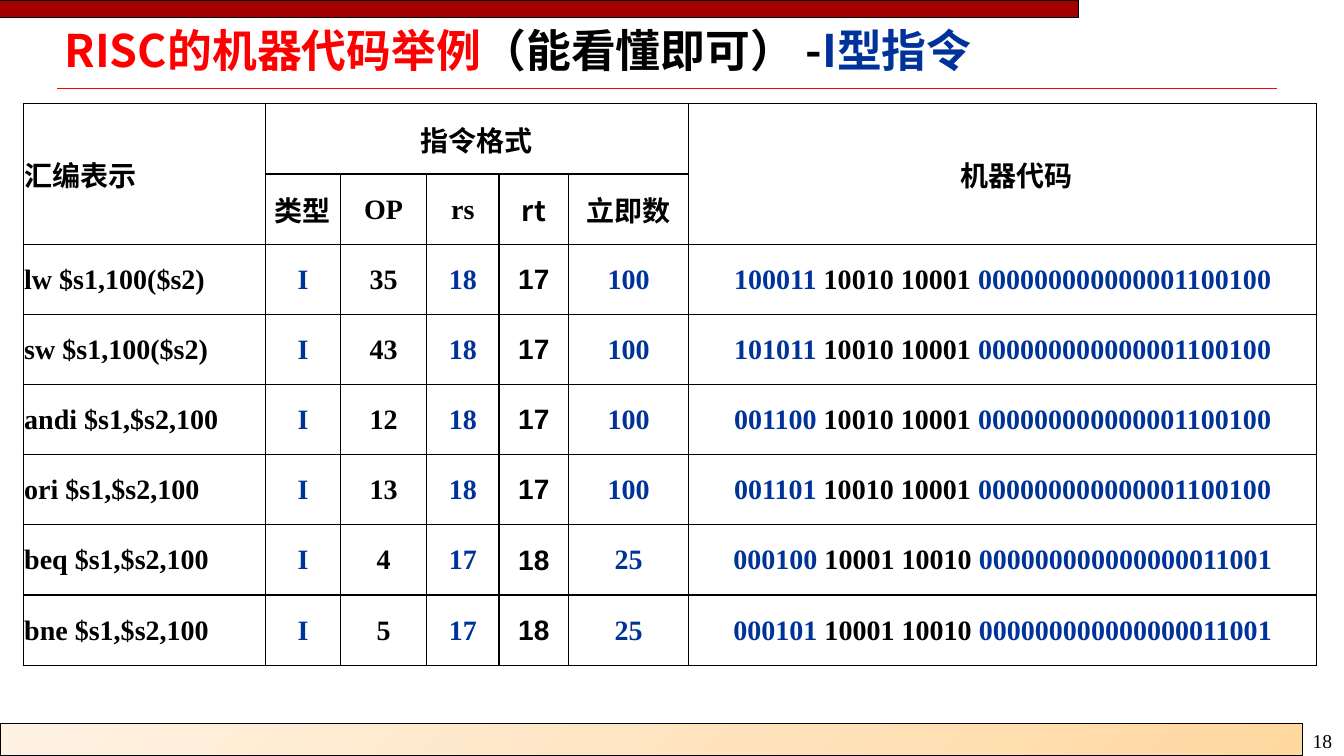
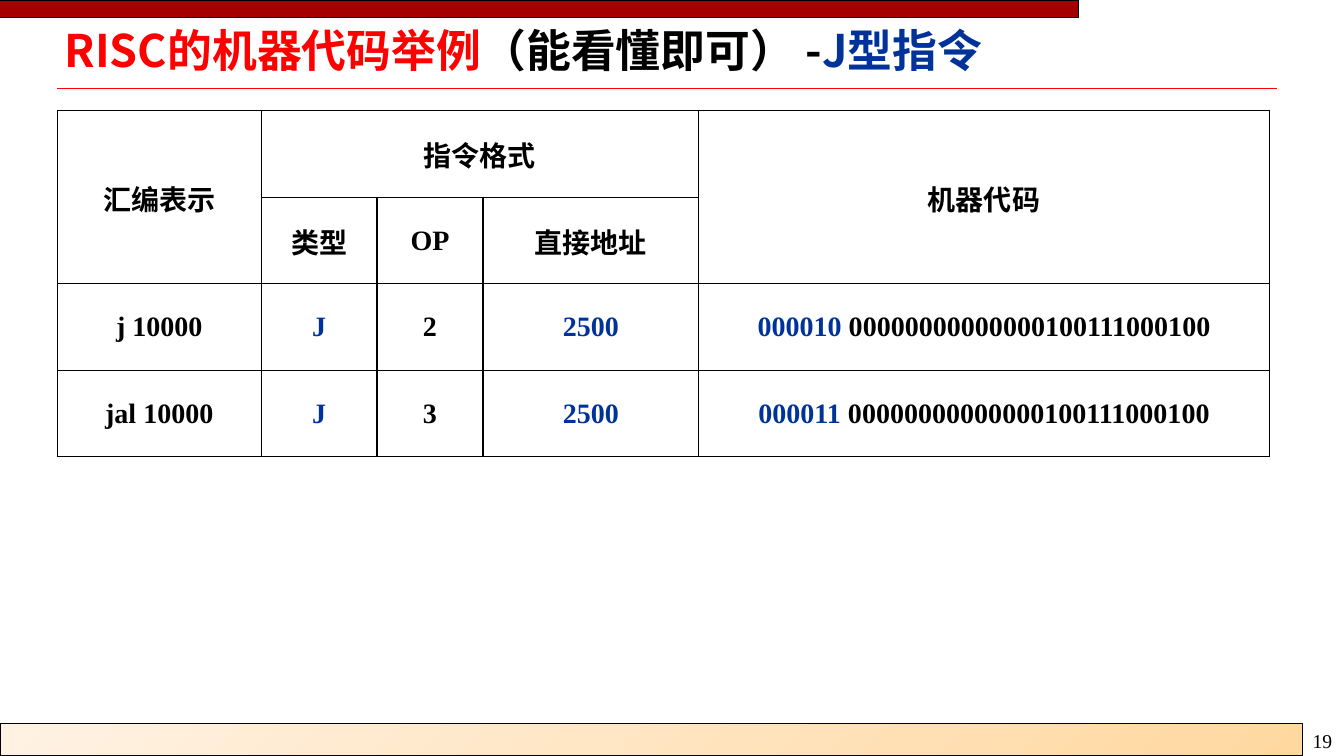
from lxml import etree
from pptx import Presentation
from pptx.dml.color import RGBColor
from pptx.enum.shapes import MSO_CONNECTOR as Connector, MSO_SHAPE as Shape
from pptx.enum.text import MSO_ANCHOR as Anchor, PP_ALIGN as Align
from pptx.oxml.ns import qn
from pptx.util import Inches, Pt

RED, DARK_RED, BLUE, BLACK, WHITE = "FF0000", "A40000", "003399", "000000", "FFFFFF"
BAND_INNER, BAND_OUTER = "FFD8A0", "FFF2E3"
SERIF, SANS, CJK = "Times New Roman", "Arial", "Noto Sans CJK SC"


def rgb(value):
    return RGBColor.from_string(value)


def write(para, spans, size, name=SERIF, bold=True):
    """Add (text, colour) spans to a paragraph."""
    for text, colour in spans:
        span = para.add_run()
        span.text = text
        span.font.size, span.font.bold, span.font.name = Pt(size), bold, name
        span.font.color.rgb = rgb(colour)
        east_asian = etree.SubElement(span.font._element, qn("a:ea"))
        east_asian.set("typeface", CJK)


# Slide contents: each instruction is its text and its field values
slides = [
    dict(
        number=18, kind="I", left=0.23, top=1.03, height=5.57,
        widths=[2.4, 0.75, 0.85, 0.72, 0.69, 1.19, 6.23],
        headings=["类型", "OP", "rs", "rt", "立即数"],
        code_heading="　机器代码", first_align=Align.LEFT,
        field_bits=[6, 5, 5, 21], code_colours=[BLUE, BLACK, BLACK, BLUE],
        instructions=[
            ("lw $s1,100($s2)", 35, 18, 17, 100),
            ("sw $s1,100($s2)", 43, 18, 17, 100),
            ("andi $s1,$s2,100", 12, 18, 17, 100),
            ("ori $s1,$s2,100", 13, 18, 17, 100),
            ("beq $s1,$s2,100", 4, 17, 18, 25),
            ("bne $s1,$s2,100", 5, 17, 18, 25),
        ],
    ),
    dict(
        number=19, kind="J", left=0.57, top=1.1, height=3.43,
        widths=[2.02, 1.15, 1.05, 2.14, 5.66],
        headings=["类型", "OP", "直接地址"],
        code_heading="机器代码", first_align=Align.CENTER,
        field_bits=[6, 26], code_colours=[BLUE, BLACK],
        instructions=[("j 10000", 2, 2500), ("jal 10000", 3, 2500)],
    ),
]

deck = Presentation()
deck.slide_width, deck.slide_height = Inches(13.33), Inches(7.5)

for content in slides:
    slide = deck.slides.add_slide(deck.slide_layouts[6])

    # Rule under the title
    rule = slide.shapes.add_connector(
        Connector.STRAIGHT, Inches(0.57), Inches(0.88), Inches(12.67), Inches(0.88))
    rule.line.color.rgb, rule.line.width = rgb(RED), Pt(1)
    etree.SubElement(rule._element.spPr, qn("a:effectLst"))

    # Bottom and top bands
    bands = []
    for top, width, height in [(7.18, 12.92, 0.32), (0.01, 10.7, 0.16)]:
        band = slide.shapes.add_shape(
            Shape.RECTANGLE, 0, Inches(top), Inches(width), Inches(height))
        band.shadow.inherit = False
        band.line.color.rgb, band.line.width = rgb(BLACK), Pt(0.75)
        bands.append(band)
    footer, header = bands
    header.fill.solid()
    header.fill.fore_color.rgb = rgb(DARK_RED)

    # Footer gradient spreads from the bottom right corner
    footer.fill.gradient()
    for stop, colour in zip(footer.fill.gradient_stops, [BAND_INNER, BAND_OUTER]):
        stop.color.rgb = rgb(colour)
    gradient = footer._element.spPr.find(qn("a:gradFill"))
    gradient.remove(gradient.find(qn("a:lin")))
    spread = etree.SubElement(gradient, qn("a:path"), {"path": "circle"})
    etree.SubElement(spread, qn("a:fillToRect"), {"l": "100000", "t": "100000"})

    # Slide number
    box = slide.shapes.add_textbox(Inches(12.92), Inches(7.18), Inches(0.43), Inches(0.34))
    box.text_frame.word_wrap = False
    write(box.text_frame.paragraphs[0], [(str(content["number"]), BLACK)], 14, bold=False)

    # Title
    box = slide.shapes.add_textbox(Inches(0.57), Inches(0.27), Inches(12.02), Inches(0.52))
    frame = box.text_frame
    frame.word_wrap, frame.vertical_anchor = True, Anchor.MIDDLE
    frame.margin_left = frame.margin_right = Inches(0.07)
    frame.margin_top = frame.margin_bottom = Inches(0.03)
    para = frame.paragraphs[0]
    para.line_spacing = 0.87
    write(para, [("RISC的机器代码举例", RED), ("（能看懂即可） -", BLACK),
                 (content["kind"] + "型指令", BLUE)], 32, CJK)

    # Table rows as lists of spans; field columns alternate blue and black
    widths, headings = content["widths"], content["headings"]
    last = len(widths) - 1
    rows = [
        [[("汇编表示", BLACK)], [("指令格式", BLACK)]] + [[]] * (last - 2)
        + [[(content["code_heading"], BLACK)]],
        [[]] + [[(heading, BLACK)] for heading in headings] + [[]],
    ]
    for name, *fields in content["instructions"]:
        values = [content["kind"]] + fields
        code = []
        for value, bits, colour in zip(fields, content["field_bits"], content["code_colours"]):
            gap = " " if code else ""
            code.append((f"{gap}{value:0{bits}b}", colour))
        rows.append([[(name, BLACK)]]
                    + [[(str(value), BLACK if i % 2 else BLUE)] for i, value in enumerate(values)]
                    + [code])

    # Table grid
    table = slide.shapes.add_table(
        len(rows), len(widths), Inches(content["left"]), Inches(content["top"]),
        Inches(sum(widths)), Inches(content["height"])).table
    for column, width in zip(table.columns, widths):
        column.width = Inches(width)
    table.cell(0, 0).merge(table.cell(1, 0))
    table.cell(0, 1).merge(table.cell(0, last - 1))
    table.cell(0, last).merge(table.cell(1, last))

    # Cells
    for r, row in enumerate(rows):
        for c, spans in enumerate(row):
            cell = table.cell(r, c)
            cell.vertical_anchor = Anchor.MIDDLE
            cell.margin_left = cell.margin_right = cell.margin_top = Inches(0.01)
            cell.margin_bottom = 0
            cell.fill.solid()
            cell.fill.fore_color.rgb = rgb(WHITE)
            properties = cell._tc.get_or_add_tcPr()
            for i, side in enumerate(["lnL", "lnR", "lnT", "lnB"]):
                border = etree.Element(qn("a:" + side), {"w": str(Pt(1))})
                fill = etree.SubElement(border, qn("a:solidFill"))
                etree.SubElement(fill, qn("a:srgbClr"), {"val": BLACK})
                properties.insert(i, border)
            para = cell.text_frame.paragraphs[0]
            para.alignment = content["first_align"] if c == 0 else Align.CENTER
            font = SERIF
            if 0 < c < last and headings[c - 1] == "rt" and r > 0:
                font = CJK if r == 1 else SANS
            write(para, spans, 20, font)

deck.save("out.pptx")
